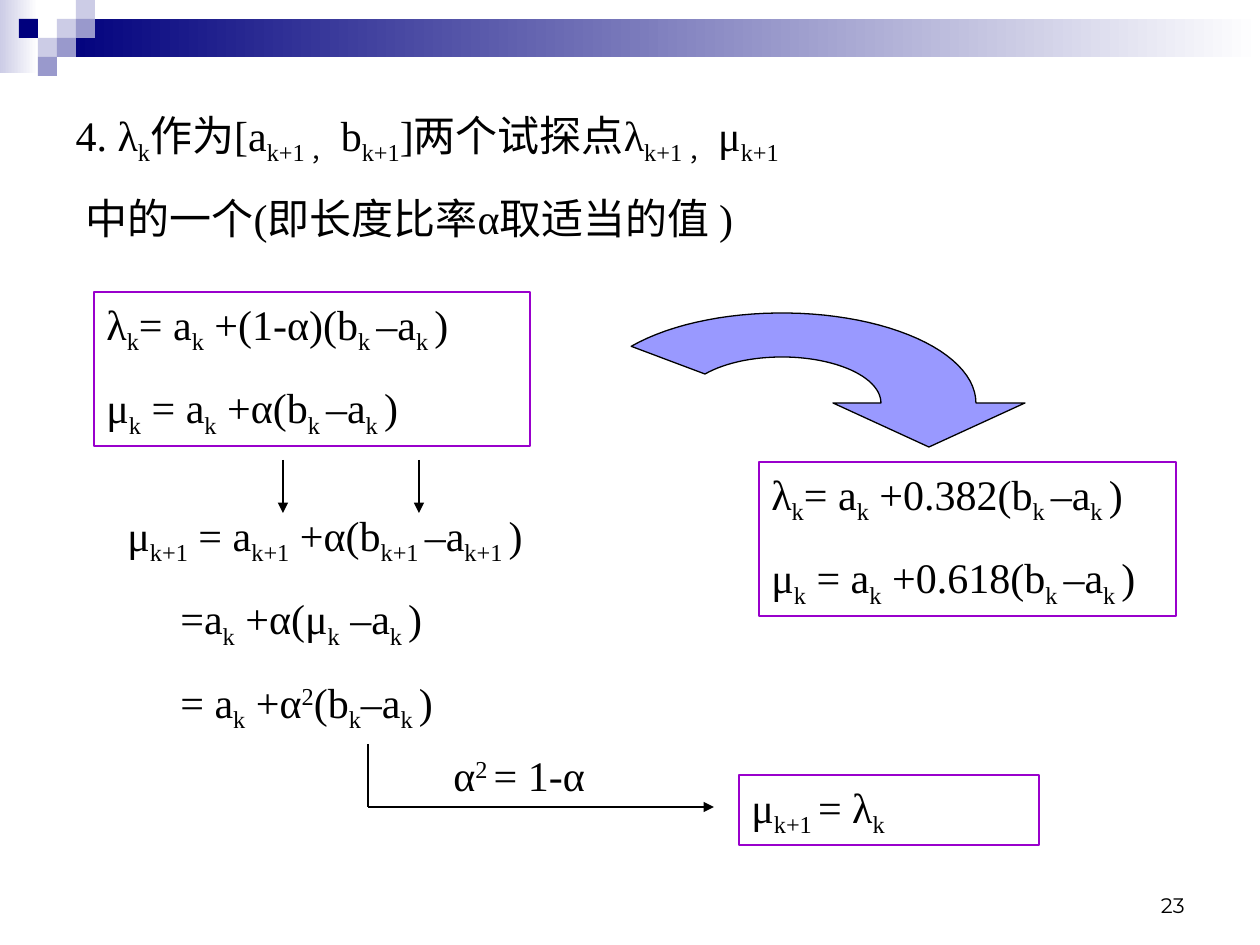
import math
from dataclasses import dataclass

import lxml.etree
import pptx
import pptx.dml.color
import pptx.enum.shapes
import pptx.enum.text
import pptx.oxml.ns
import pptx.util

EMU_PER_PX = 914400 / 126
SHAPES = pptx.enum.shapes.MSO_SHAPE
ALIGN = pptx.enum.text.PP_ALIGN
ANCHOR = pptx.enum.text.MSO_ANCHOR


@dataclass(frozen=True)
class Theme:
    ink: str = "000000"
    white: str = "FFFFFF"
    navy: str = "00007D"
    lavender: str = "CCCCE6"
    periwinkle: str = "9999CC"
    frame: str = "9900CC"
    arrow: str = "9999FF"
    body_font: str = "Times New Roman"
    number_font: str = "Montserrat"
    body_size: int = 24
    number_size: int = 12
    space_before: int = 15
    line_width: float = 0.75


THEME = Theme()
BASELINES = {"_": "-25000", "^": "30000"}


def px(length):
    return pptx.util.Emu(round(length * EMU_PER_PX))


def rgb(value):
    return pptx.dml.color.RGBColor.from_string(value)


def apply_format(target, values):
    for name, value in values.items():
        setattr(target, name, value)


def place(shape, box):
    apply_format(shape, dict(zip(("left", "top", "width", "height"), map(px, box))))


def stroke(line, color):
    line.color.rgb = rgb(color)
    line.width = pptx.util.Pt(THEME.line_width)


def add_span(para, text, font=THEME.body_font, size=THEME.body_size):
    span = para.add_run()
    span.text = text
    apply_format(span.font, {"name": font, "size": pptx.util.Pt(size), "bold": False})
    span.font.color.rgb = rgb(THEME.ink)
    return span


def write_formulas(frame, lines):
    apply_format(frame, {
        "word_wrap": True,
        "auto_size": pptx.enum.text.MSO_AUTO_SIZE.NONE,
        "vertical_anchor": ANCHOR.TOP,
    })
    for index, (indent, markup) in enumerate(lines):
        para = frame.paragraphs[0] if index == 0 else frame.add_paragraph()
        apply_format(para, {
            "alignment": ALIGN.LEFT,
            "space_before": pptx.util.Pt(THEME.space_before),
        })
        properties = para._p.get_or_add_pPr()
        properties.set("marL", str(px(indent)))
        properties.set("indent", "0")
        for piece in markup.split("|"):
            baseline = BASELINES.get(piece[0])
            span = add_span(para, piece[1:] if baseline else piece)
            if baseline:
                span.font._element.set("baseline", baseline)


def add_block(page, box, color, end_color=None):
    block = page.shapes.add_shape(SHAPES.RECTANGLE, *map(px, box))
    block.shadow.inherit = False
    block.line.fill.background()
    if end_color:
        block.fill.gradient()
        block.fill.gradient_angle = 0
        for stop, value in zip(block.fill.gradient_stops, (color, end_color)):
            stop.color.rgb = rgb(value)
    else:
        block.fill.solid()
        block.fill.fore_color.rgb = rgb(color)


def add_banner(page, box):
    left, top, width, height = box
    side = 19
    add_block(page, (left, top, 2 * side, height - 2), THEME.lavender, THEME.white)
    add_block(page, (left + 3 * side, top + side, width - 3 * side, 2 * side),
              THEME.navy, THEME.white)
    squares = (
        (3, 1, THEME.lavender), (4, 0, THEME.lavender), (4, 1, THEME.periwinkle),
        (2, 2, THEME.lavender), (1, 1, THEME.navy), (3, 2, THEME.periwinkle),
        (2, 3, THEME.periwinkle),
    )
    for column, row, color in squares:
        add_block(page, (left + column * side, top + row * side, side, side), color)


def add_heading(page, box):
    heading = page.shapes.title
    place(heading, box)
    write_formulas(heading.text_frame, (
        (0, "4. λ|_k|作为[a|_k+1 ， |b|_k+1|]两个试探点λ|_k+1 ， |μ|_k+1"),
        (10, "中的一个(即长度比率α取适当的值 )"),
    ))


def add_text(page, box, lines):
    text_box = page.shapes.add_textbox(*map(px, box))
    write_formulas(text_box.text_frame, lines)


def add_framed_text(page, box, lines):
    panel = page.shapes.add_shape(SHAPES.RECTANGLE, *map(px, box))
    panel.shadow.inherit = False
    panel.fill.background()
    stroke(panel.line, THEME.frame)
    write_formulas(panel.text_frame, lines)


def add_trial_points(page, box, upper, lower):
    add_framed_text(page, box, (
        (0, f"λ|_k|= a|_k| +{upper}(b|_k |–a|_k |)"),
        (0, f"μ|_k| = a|_k| +{lower}(b|_k |–a|_k |)"),
    ))


def add_line(page, start, end, arrow=False):
    line = page.shapes.add_connector(
        pptx.enum.shapes.MSO_CONNECTOR.STRAIGHT, *map(px, start + end))
    stroke(line.line, THEME.ink)
    qn = pptx.oxml.ns.qn
    if arrow:
        lxml.etree.SubElement(line.line._get_or_add_ln(), qn("a:tailEnd"), type="triangle")
    lxml.etree.SubElement(line._element.spPr, qn("a:effectLst"))


def add_derivation(page, box):
    left, top, width, height = box
    for offset in (178, 314):
        add_line(page, (left + offset, top), (left + offset, top + 53), True)
    add_text(page, (left, top + 43, width, 237), (
        (10, "μ|_k+1| = a|_k+1| +α(b|_k+1 |–a|_k+1 |)"),
        (63, "=a|_k| +α(μ|_k| –a|_k |)"),
        (63, "= a|_k| +α|^2|(b|_k|–a|_k |)"),
    ))
    corner = (left + 263, top + height)
    add_text(page, (left + 336, top + 283, 357, 63), ((0, "α|^2 |= 1-α"),))
    add_line(page, (corner[0], corner[1] - 63), corner)
    add_line(page, corner, (corner[0] + 346, corner[1]), True)


def add_curved_arrow(page, box):
    left, top, width, height = box
    center_x, center_y, sweep, steps = 152, 90, 141, 40

    def arc(radius_x, radius_y):
        angles = (math.radians(sweep * step / steps) for step in range(steps + 1))
        return [(center_x + radius_x * math.cos(angle),
                 center_y - radius_y * math.sin(angle)) for angle in angles]

    head = [(width, center_y), (299, height), (203, center_y)]
    outline = [(px(left + x), px(top + y))
               for x, y in arc(99, 46) + arc(194, 90)[::-1] + head]
    builder = page.shapes.build_freeform(*outline[0])
    builder.add_line_segments(outline[1:], close=True)
    arrow = builder.convert_to_shape()
    arrow.shadow.inherit = False
    arrow.fill.solid()
    arrow.fill.fore_color.rgb = rgb(THEME.arrow)
    stroke(arrow.line, THEME.ink)


def add_page_number(page, box):
    frame = page.shapes.add_textbox(*map(px, box)).text_frame
    apply_format(frame, {"word_wrap": True, "vertical_anchor": ANCHOR.BOTTOM})
    para = frame.paragraphs[0]
    para.alignment = ALIGN.RIGHT
    add_span(para, "23", THEME.number_font, THEME.number_size)


def main():
    deck = pptx.Presentation()
    apply_format(deck, {"slide_width": px(1260), "slide_height": px(945)})
    page = deck.slides.add_slide(deck.slide_layouts[5])
    add_banner(page, (0, 0, 1260, 75))
    add_heading(page, (63, 103, 1144, 147))
    add_trial_points(page, (94, 292, 436, 154), "(1-α)", "α")
    add_derivation(page, (105, 460, 654, 347))
    add_framed_text(page, (739, 775, 300, 70), ((0, "μ|_k+1 |= λ|_k"),))
    add_trial_points(page, (759, 462, 417, 154), "0.382", "0.618")
    add_curved_arrow(page, (630, 313, 395, 134))
    add_page_number(page, (903, 861, 294, 63))
    deck.save("out.pptx")


if __name__ == "__main__":
    main()
